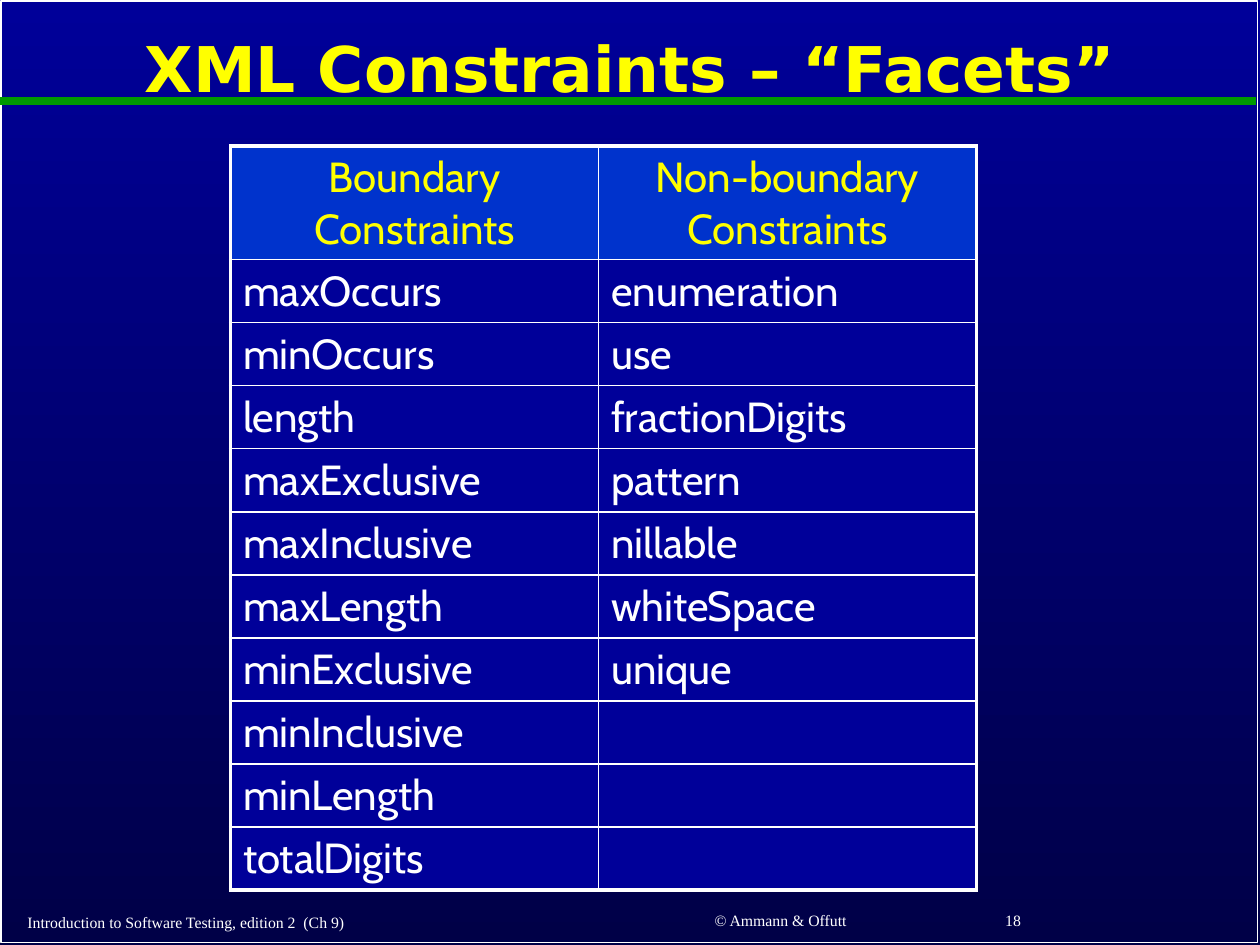
from itertools import zip_longest

from lxml.etree import SubElement
from pptx import Presentation
from pptx.dml.color import RGBColor
from pptx.enum.shapes import MSO_CONNECTOR, MSO_SHAPE
from pptx.enum.text import MSO_ANCHOR as Anchor, PP_ALIGN as Align
from pptx.oxml import parse_xml
from pptx.oxml.ns import nsdecls, qn
from pptx.util import Inches, Pt

COLORS = {
    "sky": "000099",
    "night": "000047",
    "header": "0033CC",
    "rule": "009900",
    "accent": "FFFF00",
    "text": "FFFFFF",
}
GRID = 0.1  # inches per column and per row of the slide grid
THICK, THIN = 2.25, 1

BOUNDARY = ["maxOccurs", "minOccurs", "length", "maxExclusive", "maxInclusive",
            "maxLength", "minExclusive", "minInclusive", "minLength", "totalDigits"]
NON_BOUNDARY = ["enumeration", "use", "fractionDigits", "pattern", "nillable",
                "whiteSpace", "unique"]


def color(name):
    return RGBColor.from_string(COLORS[name])


def grid(*cells):
    return [Inches(cell * GRID) for cell in cells]


class SlideBuilder:
    """Draws styled elements on one slide, measured in grid columns and rows."""

    def __init__(self, slide):
        self.slide = slide
        self.shapes = slide.shapes

    def background(self, top, bottom):
        fill = self.slide.background.fill
        fill.gradient()
        fill.gradient_angle = 270
        for stop, name, position in zip(fill.gradient_stops, (top, bottom), (0, 1)):
            stop.color.rgb = color(name)
            stop.position = position

    def frame(self, *box):
        shape = self.shapes.add_shape(MSO_SHAPE.RECTANGLE, *grid(*box))
        shape.shadow.inherit = False
        shape.fill.background()
        shape.line.color.rgb = color("text")
        shape.line.width = Pt(THIN)

    def rule(self, *ends):
        line = self.shapes.add_connector(MSO_CONNECTOR.STRAIGHT, *grid(*ends))
        line.line.color.rgb = color("rule")
        line.line.width = Pt(4.5)
        SubElement(line.element.spPr, qn("a:effectLst"))

    def set_text(self, text_frame, text, font, size, name, align=Align.LEFT, bold=False):
        text_frame.text = text
        paragraph = text_frame.paragraphs[0]
        paragraph.alignment = align
        for run in paragraph.runs:
            run.font.name = font
            run.font.size = Pt(size)
            run.font.bold = bold
            run.font.color.rgb = color(name)
        return paragraph

    def title(self, text, *box):
        """Fill the title placeholder and bring it in front of the rule."""
        title = self.shapes.title
        title.left, title.top, title.width, title.height = grid(*box)
        title.text_frame.vertical_anchor = Anchor.MIDDLE
        paragraph = self.set_text(title.text_frame, text, "DejaVu Sans", 36, "accent",
                                  Align.CENTER, bold=True)
        paragraph.line_spacing = 0.9
        title.element.getparent().append(title.element)

    def footer(self, text, *box, align=Align.LEFT):
        text_frame = self.shapes.add_textbox(*grid(*box)).text_frame
        text_frame.word_wrap = True
        text_frame.vertical_anchor = Anchor.BOTTOM
        self.set_text(text_frame, text, "Times New Roman", 9, "text", align)

    def borders(self, cell, widths):
        """Line the left, right, top and bottom sides, ahead of the cell's fill."""
        properties = cell._tc.get_or_add_tcPr()
        for index, (side, width) in enumerate(zip("LRTB", widths)):
            properties.insert(index, parse_xml(
                f'<a:ln{side} {nsdecls("a")} w="{Pt(width)}"><a:solidFill>'
                f'<a:srgbClr val="{COLORS["text"]}"/></a:solidFill></a:ln{side}>'))

    def table(self, rows, left, top, column_widths, row_heights):
        size = grid(left, top, sum(column_widths), sum(row_heights))
        table = self.shapes.add_table(len(rows), len(column_widths), *size).table
        table.horz_banding = False
        for column, width in zip(table.columns, grid(*column_widths)):
            column.width = width
        for row, height in zip(table.rows, grid(*row_heights)):
            row.height = height
        last_row, last_column = len(rows) - 1, len(column_widths) - 1
        for r, texts in enumerate(rows):
            for c, text in enumerate(texts):
                cell = table.cell(r, c)
                header = r == 0
                cell.fill.solid()
                cell.fill.fore_color.rgb = color("header" if header else "sky")
                self.set_text(cell.text_frame, text, "Cabin", 24,
                              "accent" if header else "text",
                              Align.CENTER if header else Align.LEFT)
                outer = (c == 0, c == last_column, r == 0, r == last_row)
                self.borders(cell, [THICK if edge else THIN for edge in outer])


def main():
    presentation = Presentation()
    presentation.slide_width, presentation.slide_height = grid(100, 75)
    builder = SlideBuilder(presentation.slides.add_slide(presentation.slide_layouts[5]))

    builder.background("sky", "night")
    builder.frame(0.1, 0.1, 99.7, 74.7)
    builder.rule(0, 8, 99.7, 8)
    builder.title("XML Constraints – “Facets”", 1, 1.1, 98, 9.2)

    builder.footer("Introduction to Software Testing, edition 2  (Ch 9)",
                   1.2, 71.3, 42.7, 3.1)
    builder.footer("© Ammann & Offutt", 46.1, 71.5, 31.7, 2.8, align=Align.CENTER)
    builder.footer("18", 78.8, 71.4, 19.7, 2.9)

    rows = [("Boundary Constraints", "Non-boundary Constraints"),
            *zip_longest(BOUNDARY, NON_BOUNDARY, fillvalue="")]
    builder.table(rows, 18.3, 11.6, column_widths=[29.2, 30],
                  row_heights=[9] + [5] * len(BOUNDARY))

    presentation.save("out.pptx")


if __name__ == "__main__":
    main()
